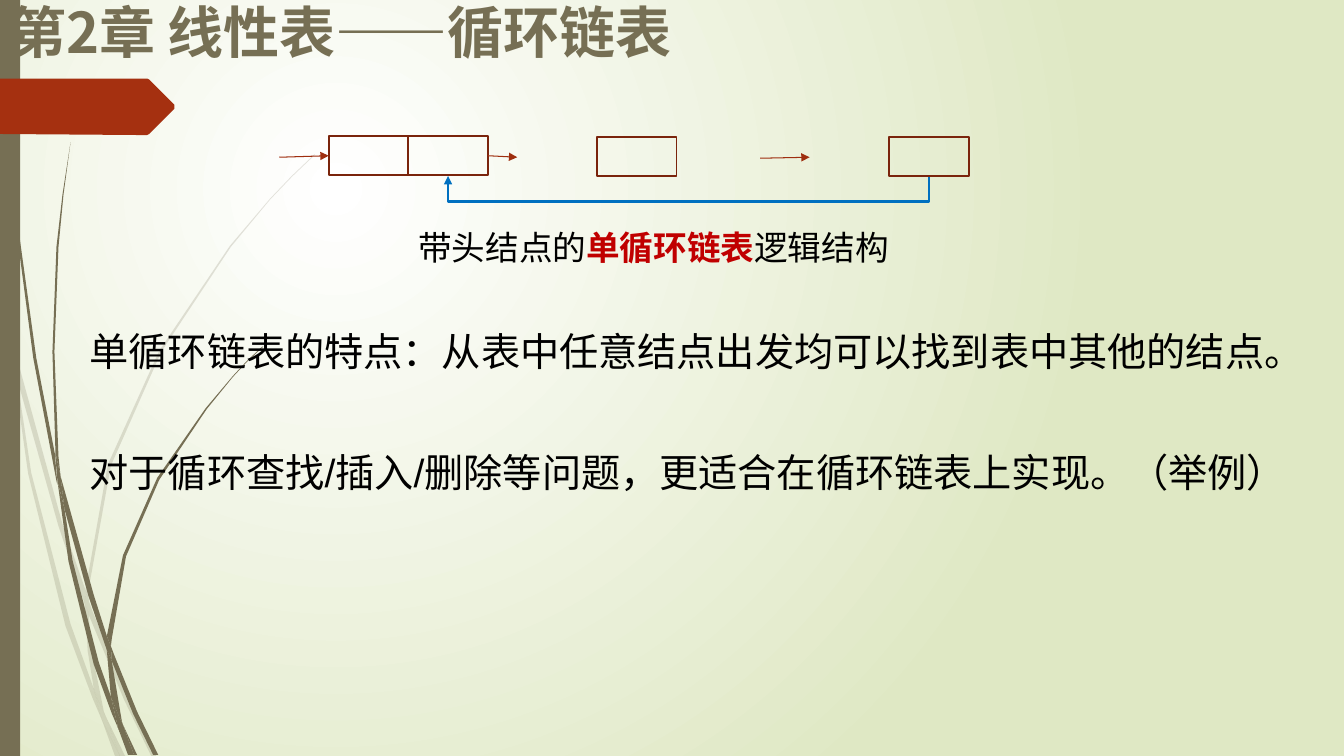
from lxml import etree
from pptx import Presentation, util as u
from pptx.dml.color import RGBColor
from pptx.enum import shapes, text
from pptx.oxml.ns import qn

OLIVE, RED, BLACK = "766F54", "A53010", "000000"
SANS = "Noto Sans CJK SC"

# Outlines in hundredths of an inch: x,y pairs
PALE_WISPS = [
    "11,350 9,322 0,282 0,299 10,344",
    "58,522 84,599 85,586 62,520 14,345 17,376",
    "92,607 88,596 88,610 123,694 150,750 155,750 127,692",
    "119,750 124,750 105,711",
    "93,683 70,619 31,469 17,376 11,350 28,470 65,621 92,693 101,714 99,707",
    "84,599 87,646 93,683 96,692 105,711 103,706 91,646 88,610 88,608",
    "88,584 110,462 160,349 229,245 268,198 290,175 312,154 312,153 289,175 "
    "268,197 228,244 158,348 107,461 85,584 85,586 88,596",
    "101,714 114,750 119,750",
    "88,608 88,610 88,596 85,586 84,599",
    "96,692 93,683 99,707 101,714 119,750 105,711",
]
DARK_WISPS = [
    "7,110 17,233 33,355 56,477 57,481 55,457 55,453 36,355 19,232 8,109 5,48 4,0 3,0 4,48",
    "88,592 106,645 106,633 106,631 93,590 60,472 64,505",
    "113,649 110,641 111,656 132,708 152,749 157,749 136,706",
    "110,691 98,657 72,556 64,505 57,477 68,557 93,659 111,708 117,722 116,717",
    "60,472 58,453 54,349 58,245 63,193 70,141 62,193 56,245 52,349 55,449",
    "133,749 136,749 122,719",
    "57,477 64,505 60,472 55,449 55,453",
    "111,633 125,552 158,476 205,406 231,374 245,359 261,344 260,344 245,358 "
    "231,373 204,405 156,474 122,551 106,631 110,641",
    "117,722 127,749 131,749",
    "106,645 110,691 116,706 122,719 121,716 111,656 109,651",
    "106,645 109,651 111,656 110,641 106,631 106,633",
    "116,706 110,691 116,717 117,722 130,749 133,749 122,719",
]
RIBBON = "173,108 148,133 146,134 136,134 0,133 0,78 136,78 146,78 148,79 173,104"


def rgb(color):
    return RGBColor.from_string(color)


def inches(*lengths):
    return [u.Inches(n) for n in lengths]


def paint(sp, fill=None, line=None, width=1.25):
    sp.shadow.inherit = False
    if fill:
        sp.fill.solid()
        sp.fill.fore_color.rgb = rgb(fill)
    else:
        sp.fill.background()
    if line:
        sp.line.color.rgb = rgb(line)
        sp.line.width = u.Pt(width)
    else:
        sp.line.fill.background()


def add_outline(s, outline, fill, alpha=None):
    """Draw a closed outline; alpha is an opacity in percent."""
    points = [tuple(map(int, pair.split(","))) for pair in outline.split()]
    builder = s.shapes.build_freeform(*points[0], scale=u.Inches(0.01))
    builder.add_line_segments(points[1:])
    sp = builder.convert_to_shape()
    paint(sp, fill)
    if alpha:
        clr = sp._element.spPr.find(".//" + qn("a:srgbClr"))
        etree.SubElement(clr, qn("a:alpha"), val=str(alpha * 1000))


def add_rect(s, box, **look):
    sp = s.shapes.add_shape(shapes.MSO_SHAPE.RECTANGLE, *inches(*box))
    paint(sp, **look)
    return sp


def add_arrow(s, start, end, color, width, kind=shapes.MSO_CONNECTOR.STRAIGHT):
    cxn = s.shapes.add_connector(kind, *inches(*start, *end))
    cxn.line.color.rgb = rgb(color)
    cxn.line.width = u.Pt(width)
    etree.SubElement(cxn.line._get_or_add_ln(), qn("a:tailEnd"), type="triangle")
    etree.SubElement(cxn._element.spPr, qn("a:effectLst"))
    return cxn


def add_return_arrow(s, start_x, end_x, y, drop):
    """Draw a U-shaped arrow, made as an elbow turned by 90 degrees."""
    mid, half, thin = (start_x + end_x) / 2, (start_x - end_x) / 2, 0.01
    cxn = add_arrow(s, (mid + thin / 2, y - half), (mid - thin / 2, y + half),
                    "0070C0", 1.75, shapes.MSO_CONNECTOR.ELBOW)
    spPr = cxn._element.spPr
    spPr.find(qn("a:xfrm")).set("rot", str(90 * 60000))
    geom = spPr.find(qn("a:prstGeom"))
    guides = geom.find(qn("a:avLst"))
    if guides is None:
        guides = etree.SubElement(geom, qn("a:avLst"))
    etree.SubElement(guides, qn("a:gd"), name="adj1",
                     fmla=f"val {round(-drop / thin * 100000)}")


def write(tf, runs, size, latin=SANS):
    """Fill a frame with one line of (text, colour, bold) runs."""
    tf.word_wrap = True
    tf.auto_size = text.MSO_AUTO_SIZE.NONE
    tf.vertical_anchor = text.MSO_ANCHOR.TOP
    p = tf.paragraphs[0]
    p.alignment = text.PP_ALIGN.LEFT
    p.line_spacing = 0.9
    for words, color, bold in runs:
        r = p.add_run()
        r.text = words
        for name, value in {"size": u.Pt(size), "name": latin, "bold": bold}.items():
            setattr(r.font, name, value)
        r.font.color.rgb = rgb(color)
        etree.SubElement(r._r.get_or_add_rPr(), qn("a:ea"), typeface=SANS)


def add_text(s, box, runs, size, latin=SANS):
    write(s.shapes.add_textbox(*inches(*box)).text_frame, runs, size, latin)


def add_background(s):
    fill = s.background.fill
    fill.gradient()
    for stop, color in zip(fill.gradient_stops, ("FFFFFF", "DFE8C4")):
        stop.color.rgb = rgb(color)
    grad = s._element.find(".//" + qn("a:gradFill"))
    lin = grad.find(qn("a:lin"))
    if lin is not None:
        grad.remove(lin)
    circle = etree.SubElement(grad, qn("a:path"), path="circle")
    etree.SubElement(circle, qn("a:fillToRect"),
                     l="50000", t="50000", r="100000", b="100000")


def add_decoration(s):
    for outline in PALE_WISPS:
        add_outline(s, outline, OLIVE, 20)
    for outline in DARK_WISPS:
        add_outline(s, outline, OLIVE)
    add_rect(s, (0, 0, 0.2, 7.5), fill=OLIVE)
    add_outline(s, RIBBON, RED)


def add_title(s, box):
    title = s.shapes.title
    title.left, title.top, title.width, title.height = inches(*box)
    write(title.text_frame, [("第2章 线性表——循环链表", OLIVE, True)], 40)
    s.shapes._spTree.append(title._element)


def add_linked_list(s, left, top):
    w, h = 0.79, 0.39
    cells = [(0.49, 0), (0.49 + w, 0), (3.15, 0.01), (6.05, 0.01)]
    head, link, _, last = [
        add_rect(s, (left + x, top + y, w, h), line="7A240C") for x, y in cells]
    arrows = [add_arrow(s, (left + x1, top + y1), (left + x2, top + y2), "9E2E0F", 0.75)
              for x1, y1, x2, y2 in [(0, 0.21, 0.49, 0.2), (2.07, 0.2, 2.36, 0.21),
                                     (4.77, 0.22, 5.26, 0.21)]]
    arrows[0].end_connect(head, 1)
    arrows[1].begin_connect(link, 3)
    add_return_arrow(s, left + 6.05 + w / 2, left + 0.49 + w * 1.5, top + h + 0.01, 0.25)


def main():
    prs = Presentation()
    prs.slide_width, prs.slide_height = inches(13.33, 7.5)
    s = prs.slides.add_slide(prs.slide_layouts[5])
    add_background(s)
    add_decoration(s)
    add_title(s, (0, 0, 9.4, 0.88))
    add_text(s, (4.05, 2.25, 6.04, 0.5),
             [("带头结点的", BLACK, False), ("单循环链表", "C00000", True),
              ("逻辑结构", BLACK, False)], 24)
    add_linked_list(s, 2.77, 1.35)
    add_text(s, (0.79, 3.25, 12.54, 0.57),
             [("单循环链表的特点：从表中任意结点出发均可以找到表中其他的结点。", BLACK, False)],
             28, "Arial")
    add_text(s, (0.79, 4.45, 12.88, 0.57),
             [("对于循环查找/插入/删除等问题，更适合在循环链表上实现。（举例）", BLACK, False)],
             28, "Arial")
    prs.save("out.pptx")


if __name__ == "__main__":
    main()
